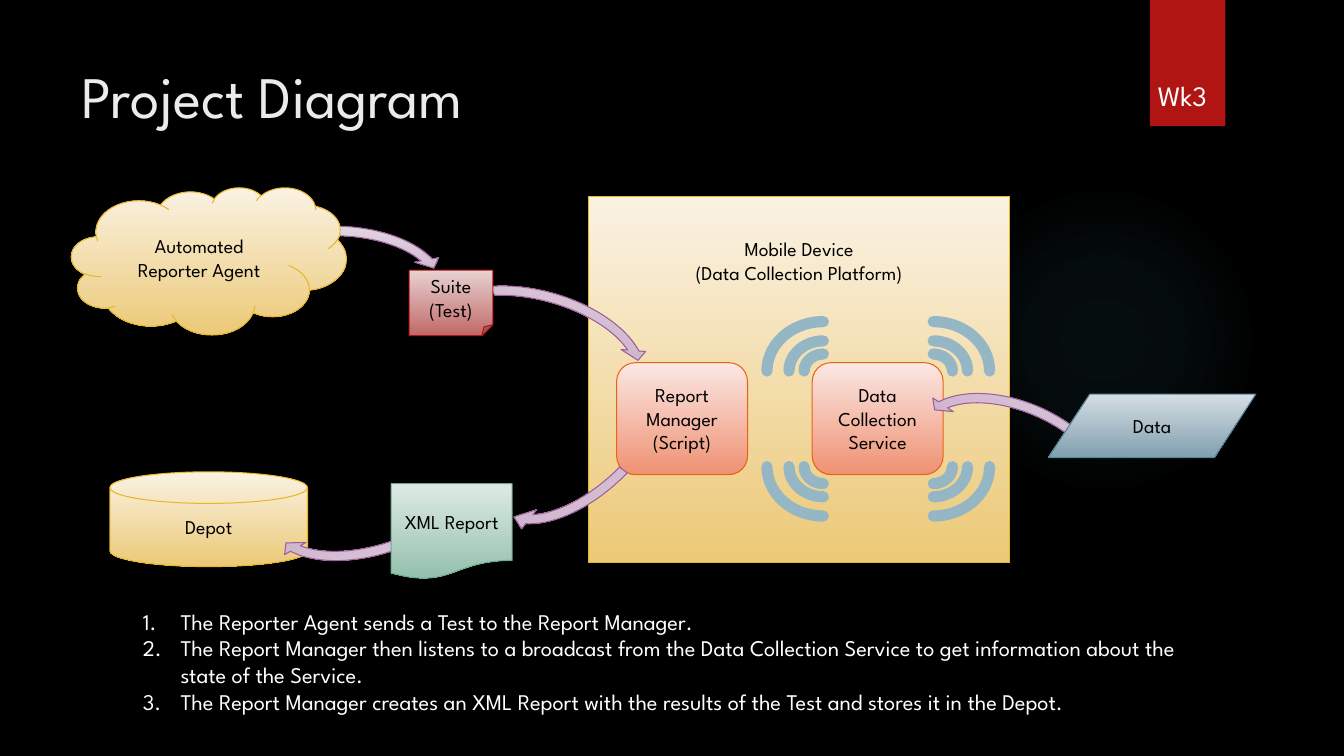
from dataclasses import dataclass

from lxml import etree
from pptx import Presentation
from pptx.dml.color import RGBColor
from pptx.enum import shapes, text
from pptx.oxml import ns
from pptx.util import Cm, Pt

KIND = shapes.MSO_SHAPE


@dataclass(frozen=True)
class Theme:
    font: str = "League Spartan"
    background: str = "000000"
    title: str = "EBEBEB"
    white: str = "FFFFFF"
    label: str = "000000"
    ribbon: str = "B01513"
    wave: str = "95B6C5"
    glow: str = "50B9C1"
    # Each palette: gradient top, gradient bottom, outline
    gold: tuple = ("FAF2E3", "ECC977", "E6B729")
    orange: tuple = ("FBE8E4", "EF9173", "EA6312")
    red: tuple = ("E8D1D0", "C06969", "B01513")
    green: tuple = ("DEEAE4", "93C0AC", "6AAC90")
    blue: tuple = ("D5DDE2", "81A0B0", "54849A")
    purple: tuple = ("E4D8E3", "B488B2", "9E5E9B")
    title_size: int = 42
    week_size: int = 20
    step_size: int = 16
    label_size: int = 14


THEME = Theme()

STEPS = (
    "The Reporter Agent sends a Test to the Report Manager.",
    "The Report Manager then listens to a broadcast from the Data Collection Service "
    "to get information about the state of the Service.",
    "The Report Manager creates an XML Report with the results of the Test "
    "and stores it in the Depot.",
)


def rgb(value):
    return RGBColor.from_string(value)


def write(frame, lines, size, color, align=text.PP_ALIGN.LEFT):
    frame.text = "\n".join(lines)
    for paragraph in frame.paragraphs:
        paragraph.alignment = align
        for run in paragraph.runs:
            run.font.name = THEME.font
            run.font.size = Pt(size)
            run.font.color.rgb = rgb(color)


def add_plain_shape(slide, kind, box):
    shape = slide.shapes.add_shape(kind, *map(Cm, box))
    shape.shadow.inherit = False
    return shape


def flip(shape, directions):
    """Mirror a shape; directions is any of "H" and "V"."""
    for direction in directions:
        shape._element.spPr.xfrm.set("flip" + direction, "1")


def add_gradient_shape(slide, kind, box, palette):
    top, bottom, outline = palette
    shape = add_plain_shape(slide, kind, box)
    shape.fill.gradient()
    shape.fill.gradient_angle = 270
    for stop, color in zip(shape.fill.gradient_stops, (top, bottom)):
        stop.color.rgb = rgb(color)
    shape.line.color.rgb = rgb(outline)
    shape.line.width = Pt(0.75)
    return shape


def add_node(slide, kind, box, palette, *lines):
    node = add_gradient_shape(slide, kind, box, palette)
    node.text_frame.word_wrap = True
    node.text_frame.vertical_anchor = text.MSO_ANCHOR.MIDDLE
    write(node.text_frame, lines, THEME.label_size, THEME.label, text.PP_ALIGN.CENTER)
    return node


def add_curved_arrow(slide, left, top, start, rotation=0, directions="",
                     width=5.99, head=3.34):
    arrow = add_gradient_shape(slide, KIND.CIRCULAR_ARROW, (left, top, width, 3.45), THEME.purple)
    for index, value in enumerate((0.07, head, 206.26, start, 0.09)):
        arrow.adjustments[index] = value
    arrow.rotation = rotation
    flip(arrow, directions)


def add_waves(slide, center_x, center_y, directions):
    """Three concentric quarter arcs radiating from one corner of the service."""
    for width, height in ((0.97, 0.86), (1.73, 1.52), (2.84, 2.49)):
        box = (center_x - width / 2, center_y - height / 2, width, height)
        wave = add_plain_shape(slide, KIND.ARC, box)
        wave.fill.background()
        wave.line.color.rgb = rgb(THEME.wave)
        wave.line.width = Pt(8)
        wave.line._get_or_add_ln().set("cap", "rnd")
        flip(wave, directions)


def add_glow(slide):
    """Faint radial light behind the diagram."""
    glow = add_plain_shape(slide, KIND.OVAL, (23.9, 4.65, 7.82, 7.82))
    glow.line.fill.background()
    glow.fill.gradient()
    gradient = glow._element.spPr.find(ns.qn("a:gradFill"))
    for child in list(gradient):
        gradient.remove(child)
    stops = etree.SubElement(gradient, ns.qn("a:gsLst"))
    for position, opacity in ((0, 7), (36, 6), (69, 0)):
        stop = etree.SubElement(stops, ns.qn("a:gs"), pos=str(position * 1000))
        color = etree.SubElement(stop, ns.qn("a:srgbClr"), val=THEME.glow)
        etree.SubElement(color, ns.qn("a:alpha"), val=str(opacity * 1000))
    circle = etree.SubElement(gradient, ns.qn("a:path"), path="circle")
    etree.SubElement(circle, ns.qn("a:fillToRect"), dict.fromkeys("ltrb", "50000"))


def add_ribbon(slide):
    ribbon = add_plain_shape(slide, KIND.RECTANGLE, (28.98, 0, 1.9, 3.18))
    ribbon.fill.solid()
    ribbon.fill.fore_color.rgb = rgb(THEME.ribbon)
    ribbon.line.fill.background()


def add_text(slide, box, lines, size, color, wrap=True):
    frame = slide.shapes.add_textbox(*map(Cm, box)).text_frame
    frame.word_wrap = wrap
    write(frame, lines, size, color)
    return frame


def add_steps(slide):
    frame = add_text(slide, (3.35, 15.19, 27.71, 3), STEPS, THEME.step_size, THEME.white)
    for paragraph in frame.paragraphs:
        properties = paragraph._p.get_or_add_pPr()
        properties.set("marL", str(Cm(0.95)))
        properties.set("indent", str(-Cm(0.95)))
        etree.SubElement(properties, ns.qn("a:buAutoNum"), type="arabicPeriod")


def add_diagram(slide):
    device = add_node(slide, KIND.RECTANGLE, (14.83, 4.95, 10.62, 9.22), THEME.gold,
                      "Mobile Device", "(Data Collection Platform)")
    device.text_frame.vertical_anchor = text.MSO_ANCHOR.TOP
    device.text_frame.margin_top = Cm(1.02)
    add_node(slide, KIND.ROUNDED_RECTANGLE, (15.54, 9.14, 3.3, 2.82), THEME.orange,
             "Report Manager", "(Script)")
    add_node(slide, KIND.ROUNDED_RECTANGLE, (20.47, 9.14, 3.3, 2.82), THEME.orange,
             "Data Collection", "Service")
    add_node(slide, KIND.FLOWCHART_MAGNETIC_DISK, (2.77, 11.89, 4.98, 2.39), THEME.gold, "Depot")
    add_curved_arrow(slide, 22.76, 9.93, 139.18, 22.9, "H", width=5.59)
    add_curved_arrow(slide, 5.41, 5.51, 162.46)
    add_node(slide, KIND.CLOUD, (1.8, 4.72, 6.93, 3.71), THEME.gold, "Automated Reporter Agent")
    add_curved_arrow(slide, 6.45, 10.69, 160.46, 341.1, "HV")
    add_node(slide, KIND.FLOWCHART_DATA, (26.42, 9.93, 5.23, 1.6), THEME.blue, "Data")
    add_curved_arrow(slide, 10.52, 7.14, 131, 15.5)
    add_node(slide, KIND.FOLDED_CORNER, (10.31, 6.81, 2.11, 1.65), THEME.red, "Suite", "(Test)")
    add_curved_arrow(slide, 11.58, 9.25, 156.55, 136.7, head=4.76)
    for center_x, horizontal in ((23.52, ""), (20.75, "H")):
        for center_y, vertical in ((9.35, ""), (11.76, "V")):
            add_waves(slide, center_x, center_y, horizontal + vertical)
    add_node(slide, KIND.FLOWCHART_DOCUMENT, (9.86, 12.19, 3.05, 2.41), THEME.green, "XML Report")


def main():
    presentation = Presentation()
    presentation.slide_width, presentation.slide_height = Cm(33.87), Cm(19.05)
    slide = presentation.slides.add_slide(presentation.slide_layouts[6])
    slide.background.fill.solid()
    slide.background.fill.fore_color.rgb = rgb(THEME.background)

    add_glow(slide)
    add_ribbon(slide)
    title = add_text(slide, (1.8, 1.27, 26.14, 2.24), ["Project Diagram"],
                     THEME.title_size, THEME.title)
    title.vertical_anchor = text.MSO_ANCHOR.MIDDLE
    add_diagram(slide)
    add_steps(slide)
    add_text(slide, (28.93, 1.85, 1.96, 1.12), ["Wk3"], THEME.week_size, THEME.white, wrap=False)
    presentation.save("out.pptx")


if __name__ == "__main__":
    main()
